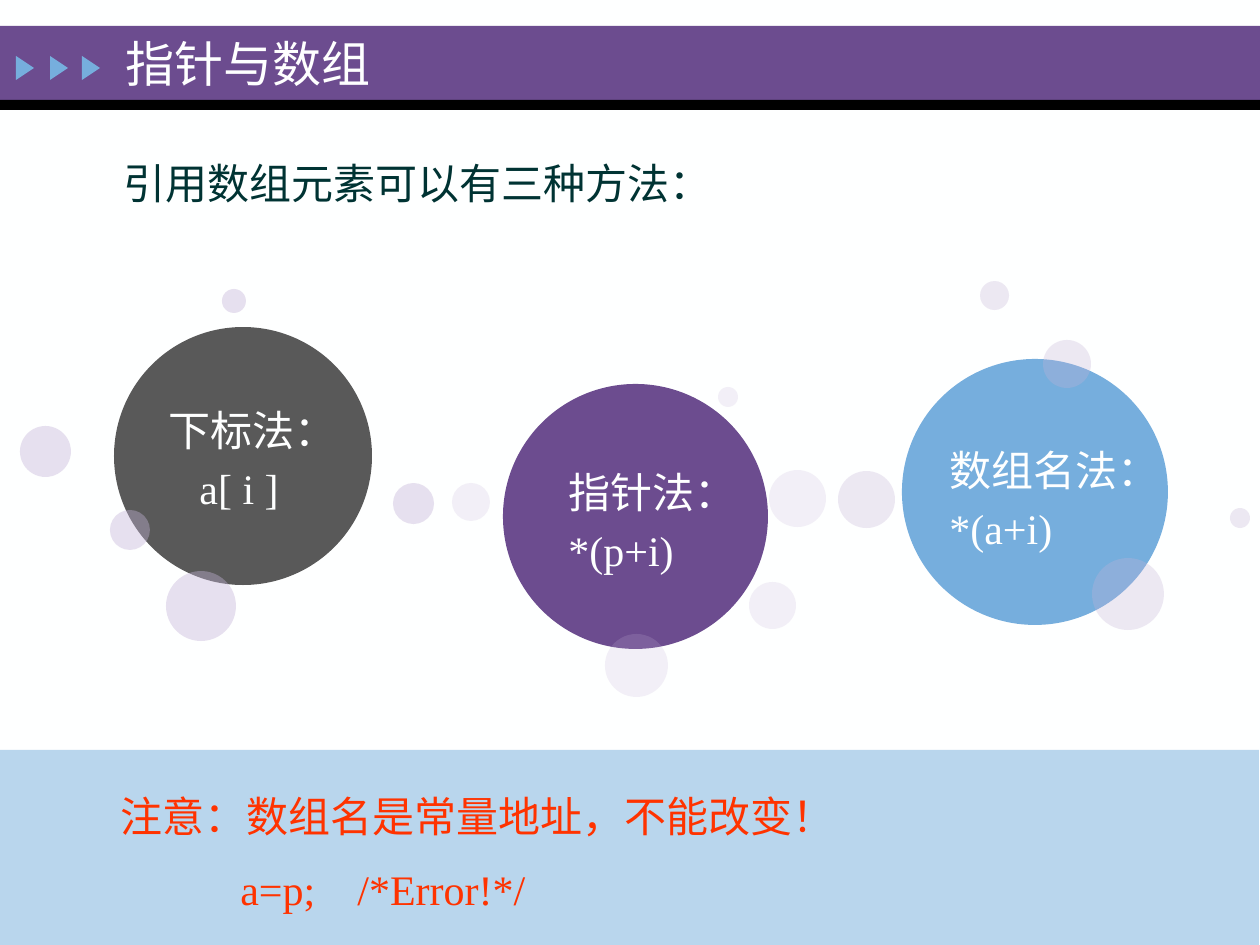
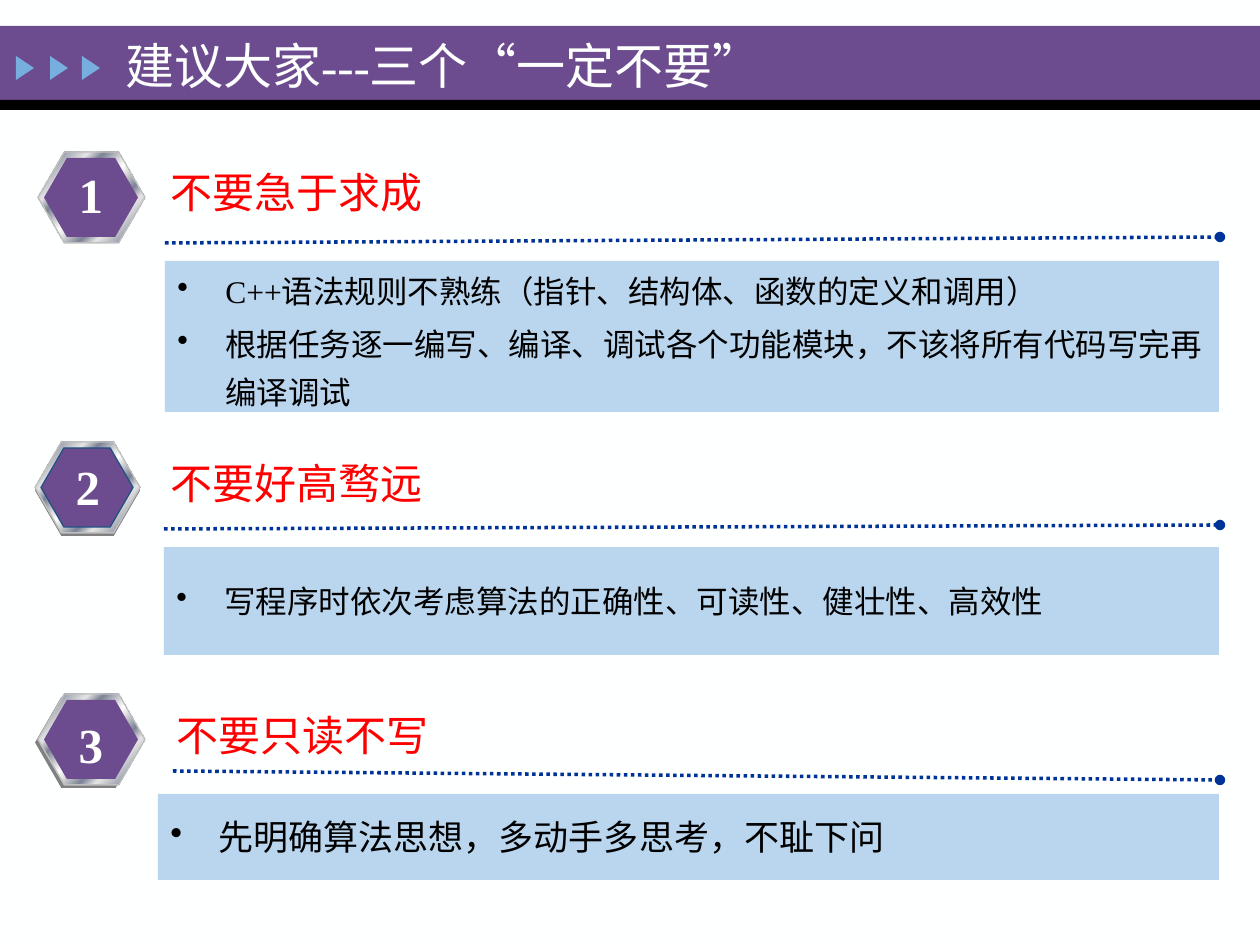
from lxml.etree import SubElement
from pptx import Presentation
from pptx.dml.color import RGBColor
from pptx.enum.dml import MSO_LINE
from pptx.enum.shapes import MSO_CONNECTOR, MSO_SHAPE
from pptx.enum.text import MSO_ANCHOR, PP_ALIGN
from pptx.oxml.ns import qn
from pptx.util import Emu, Pt

# Shared look
FONT = "Times New Roman"
PURPLE, SKY, LILAC, PANEL = "6C4C8F", "76AEDD", "C4B3D7", "BAD6EE"
OFF_WHITE, BLACK, RED, ORANGE = "FEFFFF", "000000", "FF0000", "FF3300"
SLIDE_W, SLIDE_H = 1260, 945
MARKER_LEFTS = (13, 47, 79)
STEEL = [(0, "E6E6E6"), (8, "7D8496"), (26, "E6E6E6"), (34, "7D8496"),
         (46, "E6E6E6"), (50, "FFFFFF"), (54, "E6E6E6"), (66, "7D8496"),
         (74, "E6E6E6"), (92, "7D8496"), (100, "E6E6E6")]

# Slide 1: three ways to reach an array element; circles are x, y, diameter
ARRAY_TITLE = ("指针与数组", (113, 21, 1071, 84))
ARRAY_INTRO = ("引用数组元素可以有三种方法：", (111, 151, 640, 64))
ARRAY_NOTE = ("注意：数组名是常量地址，不能改变！", (108, 784, 780, 64))
ARRAY_ERROR = ("a=p;\t/*Error!*/", (228, 857, 330, 64))
ERROR_TAB = 117
METHODS = [
    dict(name="指针法：", code="*(p+i)", indent=0, text_box=(556, 460, 218, 125),
         color=PURPLE, circle=(503, 384, 265), alpha=20,
         bubbles=[(452, 483, 38), (605, 634, 63), (718, 387, 20),
                  (749, 582, 47), (769, 470, 57)]),
    dict(name="数组名法：", code="*(a+i)", indent=0, text_box=(937, 438, 250, 125),
         color=SKY, circle=(902, 359, 266), alpha=30,
         bubbles=[(838, 471, 57), (980, 281, 29), (1092, 558, 72),
                  (1230, 508, 20), (1043, 340, 48)]),
    dict(name="下标法：", code="a[ i ]", indent=31, text_box=(156, 398, 205, 125),
         color="595959", circle=(114, 327, 258), alpha=40,
         bubbles=[(393, 483, 41), (110, 510, 40), (166, 571, 70),
                  (222, 289, 24), (20, 426, 51)]),
]

# Slide 2: three things not to do
ADVICE_TITLE = ("建议大家---三个“一定不要”", (113, 26, 764, 78))
ADVICE = [
    dict(heading="不要急于求成", heading_at=(158, 160),
         points=["C++语法规则不熟练（指针、结构体、函数的定义和调用）",
                 "根据任务逐一编写、编译、调试各个功能模块，不该将所有代码写完再编译调试"],
         size=18, spacing=1.25, panel=(165, 261, 1054, 151),
         rule=(165, 243, 1220, 237), badge=(38, 152, 107, 91),
         shade_left=None, edge=None, number_at=(66, 158)),
    dict(heading="不要好高骛远", heading_at=(158, 451),
         points=["写程序时依次考虑算法的正确性、可读性、健壮性、高效性"],
         size=18, spacing=None, panel=(164, 547, 1055, 108),
         rule=(164, 529, 1220, 525), badge=(35, 442, 105, 91),
         shade_left=35, edge="1F5281", number_at=(63, 450)),
    dict(heading="不要只读不写", heading_at=(164, 703),
         points=["先明确算法思想，多动手多思考，不耻下问"],
         size=20, spacing=None, panel=(158, 794, 1061, 86),
         rule=(173, 771, 1220, 780), badge=(38, 694, 107, 91),
         shade_left=35, edge=None, number_at=(66, 708)),
]


def px(length):
    return Emu(round(length * 914400 / 126))


def rgb(color):
    return RGBColor.from_string(color)


def add_shape(slide, kind, box, fill, alpha=None, edge=None):
    shape = slide.shapes.add_shape(kind, *map(px, box))
    shape.shadow.inherit = False
    shape.fill.solid()
    shape.fill.fore_color.rgb = rgb(fill)
    if alpha is not None:
        color = shape.element.spPr.find(".//" + qn("a:srgbClr"))
        SubElement(color, qn("a:alpha"), val=str(alpha * 1000))
    if edge:
        shape.line.color.rgb = rgb(edge)
        shape.line.width = Pt(0.75)
    else:
        shape.line.fill.background()
    return shape


def write(frame, texts, size, color, align=PP_ALIGN.LEFT, bold=False,
          spacing=None, bullet=False, tab=None):
    for i, text in enumerate(texts):
        para = frame.paragraphs[0] if i == 0 else frame.add_paragraph()
        para.text = text
        para.alignment = align
        props = para._p.get_or_add_pPr()
        if bullet:
            props.set("marL", str(px(48)))
            props.set("indent", str(-px(48)))
            SubElement(props, qn("a:buChar"), char="•")
        if tab:
            stops = SubElement(props, qn("a:tabLst"))
            SubElement(stops, qn("a:tab"), pos=str(px(tab)), algn="l")
        if i:
            para.space_before = Pt(round(size * 0.2, 1))
        if spacing:
            para.line_spacing = spacing
        para.font.name, para.font.size = FONT, Pt(size)
        para.font.bold = bold
        para.font.color.rgb = rgb(color)


def add_text(slide, box, texts, size, color, anchor=MSO_ANCHOR.TOP,
             wrap=True, **style):
    frame = slide.shapes.add_textbox(*map(px, box)).text_frame
    frame.word_wrap = wrap
    frame.vertical_anchor = anchor
    write(frame, texts, size, color, **style)
    return frame


def add_base_slide(prs, title, title_box):
    slide = prs.slides.add_slide(prs.slide_layouts[6])
    slide.background.fill.solid()
    slide.background.fill.fore_color.rgb = rgb(OFF_WHITE)
    add_shape(slide, MSO_SHAPE.RECTANGLE, (0, 26, SLIDE_W, 74), PURPLE)
    add_shape(slide, MSO_SHAPE.RECTANGLE, (0, 100, SLIDE_W, 10), BLACK)
    for left in MARKER_LEFTS:
        marker = add_shape(slide, MSO_SHAPE.ISOSCELES_TRIANGLE,
                           (left, 59, 24, 18), SKY)
        marker.rotation = 90
    add_text(slide, title_box, [title], 28, OFF_WHITE, MSO_ANCHOR.MIDDLE)
    return slide


def add_hexagon(slide, box, fill, edge=None):
    hexagon = add_shape(slide, MSO_SHAPE.HEXAGON, box, fill, edge=edge)
    hexagon.adjustments[0] = 0.289
    return hexagon


def paint_steel(shape):
    shape.fill.gradient()
    gradient = shape.element.spPr.find(qn("a:gradFill"))
    stops = gradient.find(qn("a:gsLst"))
    for stop in list(stops):
        stops.remove(stop)
    for position, color in STEEL:
        stop = SubElement(stops, qn("a:gs"), pos=str(position * 1000))
        SubElement(stop, qn("a:srgbClr"), val=color)
    gradient.find(qn("a:lin")).set("ang", str(45 * 60000))


def add_dotted_rule(slide, ends):
    rule = slide.shapes.add_connector(MSO_CONNECTOR.STRAIGHT, *map(px, ends))
    rule.line.color.rgb = rgb("003399")
    rule.line.width = Pt(2)
    rule.line.dash_style = MSO_LINE.ROUND_DOT
    SubElement(rule.line._get_or_add_ln(), qn("a:tailEnd"), type="oval")
    SubElement(rule.element.spPr, qn("a:effectLst"))


def add_badge(slide, number, item):
    left, top, width, height = item["badge"]
    if item["shade_left"] is not None:
        add_hexagon(slide, (item["shade_left"], top + 3, width, height), "808080")
    paint_steel(add_hexagon(slide, item["badge"], "E6E6E6", "C0C0C0"))
    add_hexagon(slide, (left + 6, top + 6, width - 13, height - 12),
                PURPLE, item["edge"])
    add_text(slide, (*item["number_at"], 50, 72), [str(number)], 28, "FFFFFF",
             wrap=False, align=PP_ALIGN.CENTER, bold=True)


def build_array_slide(prs):
    slide = add_base_slide(prs, *ARRAY_TITLE)
    add_shape(slide, MSO_SHAPE.RECTANGLE, (-1, 750, SLIDE_W, 195), SKY, 50)
    for (text, box), color in ((ARRAY_INTRO, "003333"), (ARRAY_NOTE, ORANGE)):
        add_text(slide, box, [text], 24, color)
    error, error_box = ARRAY_ERROR
    add_text(slide, error_box, [error], 24, ORANGE, tab=ERROR_TAB)

    # Circles first, so that the labels stay on top
    for method in METHODS:
        x, y, d = method["circle"]
        add_shape(slide, MSO_SHAPE.OVAL, (x, y, d, d), method["color"])
        for x, y, d in method["bubbles"]:
            add_shape(slide, MSO_SHAPE.OVAL, (x, y, d, d), LILAC, method["alpha"])
    for method in METHODS:
        label = add_text(slide, method["text_box"],
                         [method["name"], method["code"]], 24, OFF_WHITE)
        if method["indent"]:
            code_props = label.paragraphs[1]._p.get_or_add_pPr()
            code_props.set("marL", str(px(method["indent"])))


def build_advice_slide(prs):
    slide = add_base_slide(prs, *ADVICE_TITLE)
    for number, item in enumerate(ADVICE, 1):
        add_badge(slide, number, item)
        add_text(slide, (*item["heading_at"], 1000, 64), [item["heading"]], 24, RED)
        add_dotted_rule(slide, item["rule"])
        panel = add_shape(slide, MSO_SHAPE.RECTANGLE, item["panel"], PANEL)
        panel.text_frame.word_wrap = True
        panel.text_frame.vertical_anchor = MSO_ANCHOR.MIDDLE
        write(panel.text_frame, item["points"], item["size"], BLACK,
              spacing=item["spacing"], bullet=True)


def main():
    prs = Presentation()
    prs.slide_width, prs.slide_height = px(SLIDE_W), px(SLIDE_H)
    build_array_slide(prs)
    build_advice_slide(prs)
    prs.save("out.pptx")


if __name__ == "__main__":
    main()
